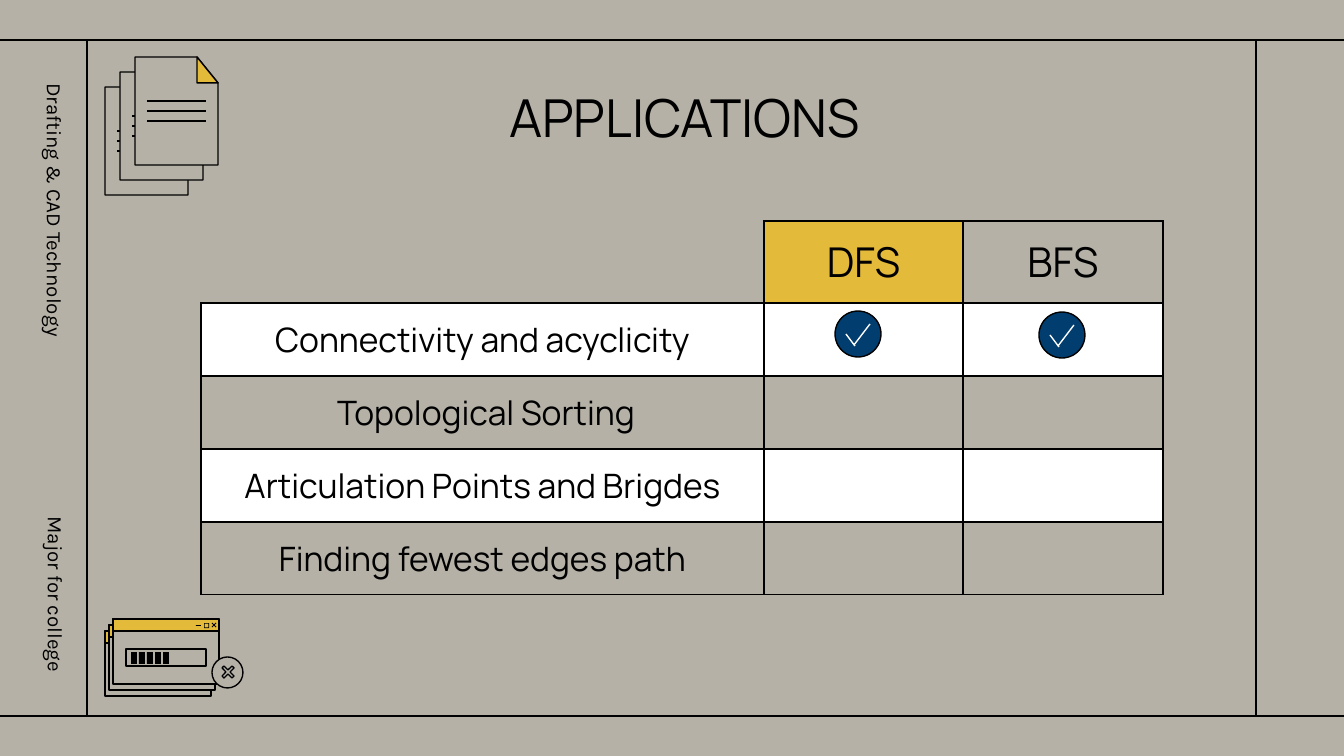
import pptx
import pptx.util
import pptx.dml.color
import pptx.enum.shapes
import pptx.enum.text
import pptx.oxml.ns
import lxml.etree

PX = 6804  # EMU in one px
BLACK = pptx.dml.color.RGBColor(0x00, 0x00, 0x00)
WHITE = pptx.dml.color.RGBColor(0xFF, 0xFF, 0xFF)
STONE = pptx.dml.color.RGBColor(0xB5, 0xB1, 0xA7)
YELLOW = pptx.dml.color.RGBColor(0xE4, 0xBA, 0x3A)
NAVY = pptx.dml.color.RGBColor(0x02, 0x3D, 0x6F)
THIN = pptx.util.Pt(0.75)
SHAPE = pptx.enum.shapes.MSO_SHAPE
ALIGN = pptx.enum.text.PP_ALIGN
MIDDLE = pptx.enum.text.MSO_ANCHOR.MIDDLE
qn = pptx.oxml.ns.qn

prs = pptx.Presentation()
prs.slide_width = 1344 * PX
prs.slide_height = 756 * PX
s = prs.slides.add_slide(prs.slide_layouts[5])
s.background.fill.solid()
s.background.fill.fore_color.rgb = STONE


def add_line(x1, y1, x2, y2, color=BLACK):
    c = s.shapes.add_connector(pptx.enum.shapes.MSO_CONNECTOR.STRAIGHT,
                               x1 * PX, y1 * PX, x2 * PX, y2 * PX)
    c.line.color.rgb = color
    c.line.width = THIN
    lxml.etree.SubElement(c._element.spPr, qn("a:effectLst"))


def add_figure(figure, x, y, w, h, fill, outlined=True):
    """Draw a preset shape, or a polygon if figure is a list of points from (x, y)."""
    if isinstance(figure, list):
        points = [(x + dx, y + dy) for dx, dy in figure]
        builder = s.shapes.build_freeform(*points[0], scale=PX)
        builder.add_line_segments(points[1:], close=True)
        sp = builder.convert_to_shape()
    else:
        sp = s.shapes.add_shape(figure, x * PX, y * PX, w * PX, h * PX)
    sp.shadow.inherit = False
    if fill is None:
        sp.fill.background()
    else:
        sp.fill.solid()
        sp.fill.fore_color.rgb = fill
    if outlined:
        sp.line.color.rgb = BLACK
        sp.line.width = THIN
    else:
        sp.line.fill.background()
    return sp


# Frame of the slide
for y in (40, 716):
    add_line(0, y, 1344, y)
for x in (87, 1256):
    add_line(x, 716, x, 40)

# Table
rows = [
    ("", "DFS", "BFS"),
    ("Connectivity and acyclicity", "", ""),
    ("Topological Sorting", "", ""),
    ("Articulation Points and Brigdes", "", ""),
    ("Finding fewest edges path", "", ""),
]
frame = s.shapes.add_table(5, 3, 201 * PX, 221 * PX, 962 * PX, 374 * PX)
table = frame.table
table.first_row = table.horz_banding = False
for column, width in zip(table.columns, (563, 199, 200)):
    column.width = width * PX
texts = []
for i, row in enumerate(rows):
    table.rows[i].height = (73 if i else 82) * PX
    for j, text in enumerate(row):
        cell = table.cell(i, j)
        corner = i == j == 0
        cell.vertical_anchor = MIDDLE
        cell.margin_left = cell.margin_right = 13 * PX
        cell.margin_top = cell.margin_bottom = 13 * PX
        tcPr = cell._tc.get_or_add_tcPr()
        for side in "LRTB":
            ln = lxml.etree.SubElement(tcPr, qn(f"a:ln{side}"), w=str(THIN))
            if corner and side in "LT":
                lxml.etree.SubElement(ln, qn("a:noFill"))
            else:
                solid = lxml.etree.SubElement(ln, qn("a:solidFill"))
                lxml.etree.SubElement(solid, qn("a:srgbClr"), val=str(BLACK))
        if corner or (i % 2 == 0 and i > 0):
            cell.fill.background()
        else:
            cell.fill.solid()
            cell.fill.fore_color.rgb = WHITE if i else (YELLOW if j == 1 else STONE)
        if text:
            texts.append((cell.text_frame, text, 18 if i else 22, "Manrope", ALIGN.CENTER, 1))

# Title and side labels
title = s.shapes.title
title.left, title.top, title.width, title.height = 218 * PX, 74 * PX, 933 * PX, 85 * PX
texts.append((title.text_frame, "APPLICATIONS", 28, "Manrope", ALIGN.CENTER, 1))
for text, x, y, w, align, spacing in (
    ("Drafting & CAD Technology", -99, 211, 312, ALIGN.LEFT, 1.15),
    ("Major for college", -83, 531, 278, ALIGN.RIGHT, 1),
):
    box = s.shapes.add_textbox(x * PX, y * PX, w * PX, 30 * PX)
    box.rotation = 90
    texts.append((box.text_frame, text, 11, "Karla", align, spacing))

for tf, text, size, font, align, spacing in texts:
    tf.text = text
    tf.word_wrap = True
    tf.vertical_anchor = MIDDLE
    tf.margin_left = tf.margin_right = tf.margin_top = tf.margin_bottom = 13 * PX
    p = tf.paragraphs[0]
    p.alignment = align
    p.line_spacing = float(spacing)
    r = p.runs[0]
    r.font.size = pptx.util.Pt(size)
    r.font.name = font
    r.font.color.rgb = BLACK
table.cell(2, 0).margin_left = 20 * PX

# Stack of windows
for i in range(3):
    x, y = 105 + 4 * i, 631 - 6 * i
    add_figure(SHAPE.RECTANGLE, x, y, 106, 65, STONE)
    add_figure(SHAPE.RECTANGLE, x, y, 106, 12, YELLOW)
close = add_figure(SHAPE.MATH_MULTIPLY, 210, 621, 8, 8, BLACK, False)
close.adjustments[0] = 0.1
add_figure(SHAPE.FRAME, 204, 623, 5, 5, BLACK, False)
add_figure(SHAPE.RECTANGLE, 196, 625, 5, 1, BLACK, False)
add_figure(SHAPE.RECTANGLE, 126, 649, 80, 17, None)
for i in range(5):
    add_figure(SHAPE.RECTANGLE, 131 + 8 * i, 652, 6, 12, BLACK, False)
add_figure(SHAPE.OVAL, 212, 657, 31, 31, STONE)
cross = [(4, -6), (0, -2), (-4, -6), (-6, -4), (-2, 0), (-6, 4),
         (-4, 6), (0, 2), (4, 6), (6, 4), (2, 0), (6, -4)]
add_figure(cross, 228, 672, 12, 12, None)

# Stack of pages
page = [(0, 0), (0, 108), (83, 108), (83, 26), (62, 0)]
fold = [(62, 0), (62, 26), (83, 26)]
for i in range(3):
    x, y = 105 + 15 * i, 87 - 15 * i
    add_figure(page, x, y, 83, 108, STONE)
    for dy in (44, 54, 64):
        add_line(x + 12, y + dy, x + 71, y + dy)
add_figure(fold, x, y, 21, 26, YELLOW)

# Check marks
for x, y in ((1039, 312), (835, 311)):
    add_figure(SHAPE.OVAL, x, y, 46, 46, NAVY)
    add_line(x + 11, y + 23, x + 20, y + 35, WHITE)
    add_line(x + 35, y + 13, x + 19, y + 34, WHITE)

prs.save("out.pptx")
